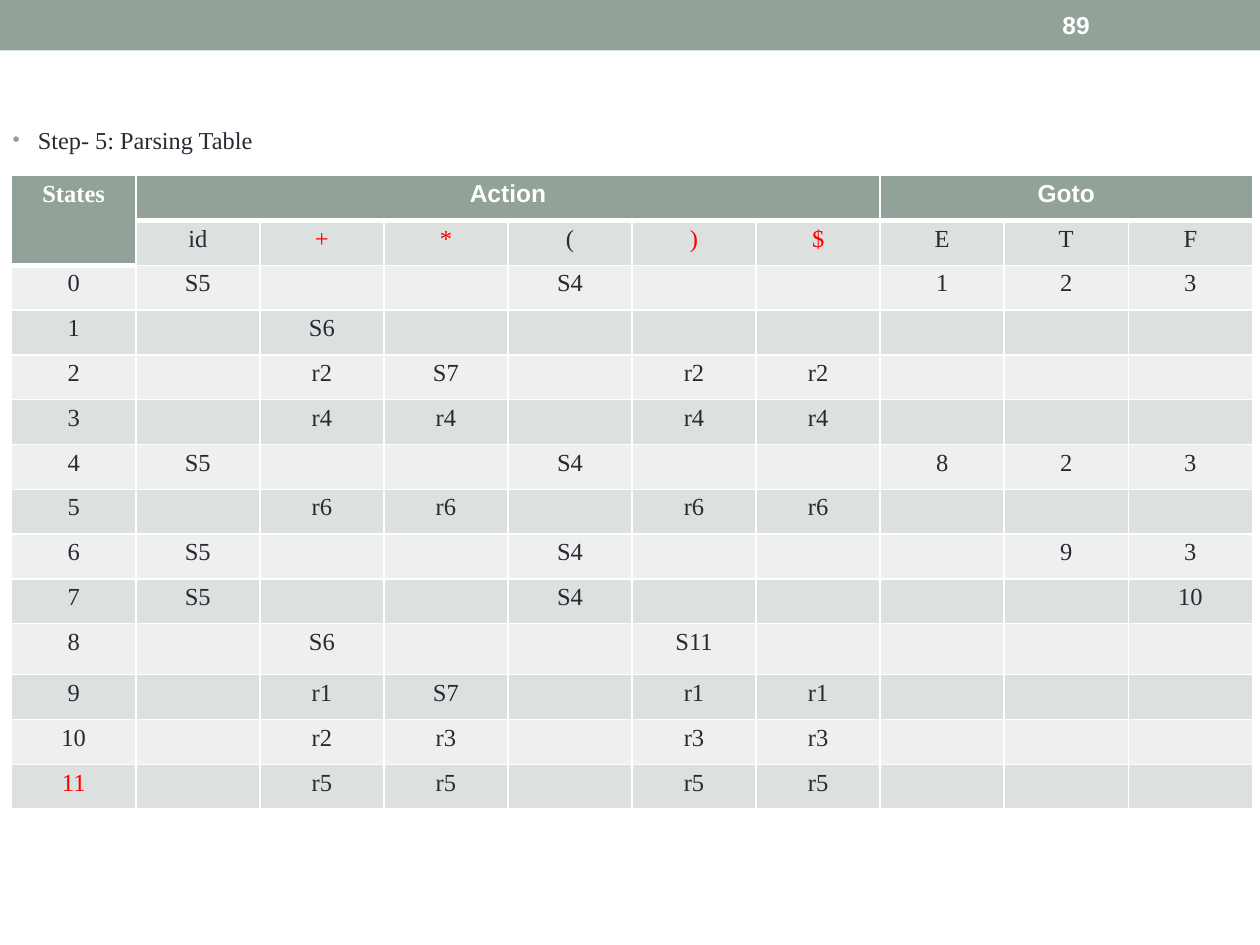
from lxml import etree
from pptx import Presentation
from pptx.dml.color import RGBColor
from pptx.enum.shapes import MSO_SHAPE
from pptx.enum.text import MSO_ANCHOR, MSO_AUTO_SIZE, PP_ALIGN
from pptx.oxml.ns import qn
from pptx.util import Pt

RECTANGLE = MSO_SHAPE.RECTANGLE
CENTER = PP_ALIGN.CENTER
TOP, MIDDLE = MSO_ANCHOR.TOP, MSO_ANCHOR.MIDDLE
NO_AUTOFIT = MSO_AUTO_SIZE.NONE
SAGE = RGBColor(0x93, 0xA2, 0x99)
DARK_BAND = RGBColor(0xDC, 0xE0, 0xDE)
LIGHT_BAND = RGBColor(0xEE, 0xF0, 0xEF)
INK = RGBColor(0x29, 0x29, 0x34)
RED = RGBColor(0xFF, 0x00, 0x00)
WHITE = RGBColor(0xFF, 0xFF, 0xFF)
SERIF, SANS = "Times New Roman", "Arial"

PARSING_ROWS = [
    "States|Action||||||Goto||",
    "|id|+|*|(|)|$|E|T|F",
    "0|S5|||S4|||1|2|3",
    "1||S6|||||||",
    "2||r2|S7||r2|r2|||",
    "3||r4|r4||r4|r4|||",
    "4|S5|||S4|||8|2|3",
    "5||r6|r6||r6|r6|||",
    "6|S5|||S4||||9|3",
    "7|S5|||S4|||||10",
    "8||S6|||S11||||",
    "9||r1|S7||r1|r1|||",
    "10||r2|r3||r3|r3|||",
    "11||r5|r5||r5|r5|||",
]
RED_LABELS = {"+", "*", ")", "$", "11"}


def add_run(paragraph, text, font_name, size, color, bold=False):
    run = paragraph.add_run()
    run.text = text
    run.font.name = font_name
    run.font.size = Pt(size)
    run.font.bold = bold
    run.font.color.rgb = color


def set_borders(cell, top, bottom):
    properties = cell._tc.get_or_add_tcPr()
    widths = [("a:lnL", 1), ("a:lnR", 1), ("a:lnT", top), ("a:lnB", bottom)]
    for position, (tag, width) in enumerate(widths):
        line = etree.Element(qn(tag), w=str(Pt(width)))
        fill = etree.SubElement(line, qn("a:solidFill"))
        etree.SubElement(fill, qn("a:srgbClr"), val=str(WHITE))
        properties.insert(position, line)


prs = Presentation()
prs.slide_width, prs.slide_height = Pt(720), Pt(540)
slide = prs.slides.add_slide(prs.slide_layouts[1])
title = slide.shapes.title
title.element.getparent().remove(title.element)

banner = slide.shapes.add_shape(RECTANGLE, 0, 0, Pt(720), Pt(28.8))
banner.shadow.inherit = False
banner.fill.solid()
banner.fill.fore_color.rgb = SAGE
banner.line.fill.background()

step = slide.placeholders[1]
step.left, step.top, step.width, step.height = 0, Pt(67.7), Pt(160), Pt(30)
step.text_frame.auto_size = NO_AUTOFIT
step.text_frame.vertical_anchor = TOP
step_line = step.text_frame.paragraphs[0]
step_format = step_line._p.get_or_add_pPr()
step_format.set("marL", str(Pt(14.4)))
step_format.set("indent", str(-Pt(14.4)))
bullet_color = etree.SubElement(step_format, qn("a:buClr"))
etree.SubElement(bullet_color, qn("a:srgbClr"), val=str(SAGE))
etree.SubElement(step_format, qn("a:buSzPct"), val="85000")
etree.SubElement(step_format, qn("a:buFont"), typeface=SANS)
etree.SubElement(step_format, qn("a:buChar"), char="•")
step_line.space_before = Pt(0)
add_run(step_line, "Step- 5: Parsing Table", SERIF, 13.9, INK)

page_number = slide.shapes.add_textbox(Pt(600), Pt(1.4), Pt(84), Pt(26))
page_number.text_frame.word_wrap = True
page_number.text_frame.vertical_anchor = MIDDLE
add_run(page_number.text_frame.paragraphs[0], "89", SANS, 14, WHITE, True)

table = slide.shapes.add_table(
    len(PARSING_ROWS), 10, Pt(6.7), Pt(100.4), Pt(709), Pt(362)).table
table.first_row = False
table.horz_banding = False
for column in table.columns:
    column.width = Pt(70.9)
for row in table.rows:
    row.height = Pt(25.6)
table.rows[10].height = Pt(29.2)

for r, row in enumerate(PARSING_ROWS):
    for c, text in enumerate(row.split("|")):
        cell = table.cell(r, c)
        header = r == 0 or (r == 1 and c == 0)
        cell.margin_left = cell.margin_right = Pt(5)
        cell.margin_top = cell.margin_bottom = Pt(2.8)
        cell.fill.solid()
        cell.fill.fore_color.rgb = SAGE if header else DARK_BAND if r % 2 else LIGHT_BAND
        below_header = (r == 1 and c > 0) or (r == 2 and c == 0)
        set_borders(cell, 3 if below_header else 1, 3 if header else 1)
        entry = cell.text_frame.paragraphs[0]
        entry.alignment = CENTER
        if text:
            color = WHITE if header else RED if text in RED_LABELS else INK
            font_name = SANS if r == 0 and c > 0 else SERIF
            add_run(entry, text, font_name, 14, color, header)
        else:
            etree.SubElement(entry._p, qn("a:endParaRPr"), sz="1400")

table.cell(0, 0).merge(table.cell(1, 0))
table.cell(0, 1).merge(table.cell(0, 6))
table.cell(0, 7).merge(table.cell(0, 9))

prs.save("out.pptx")
